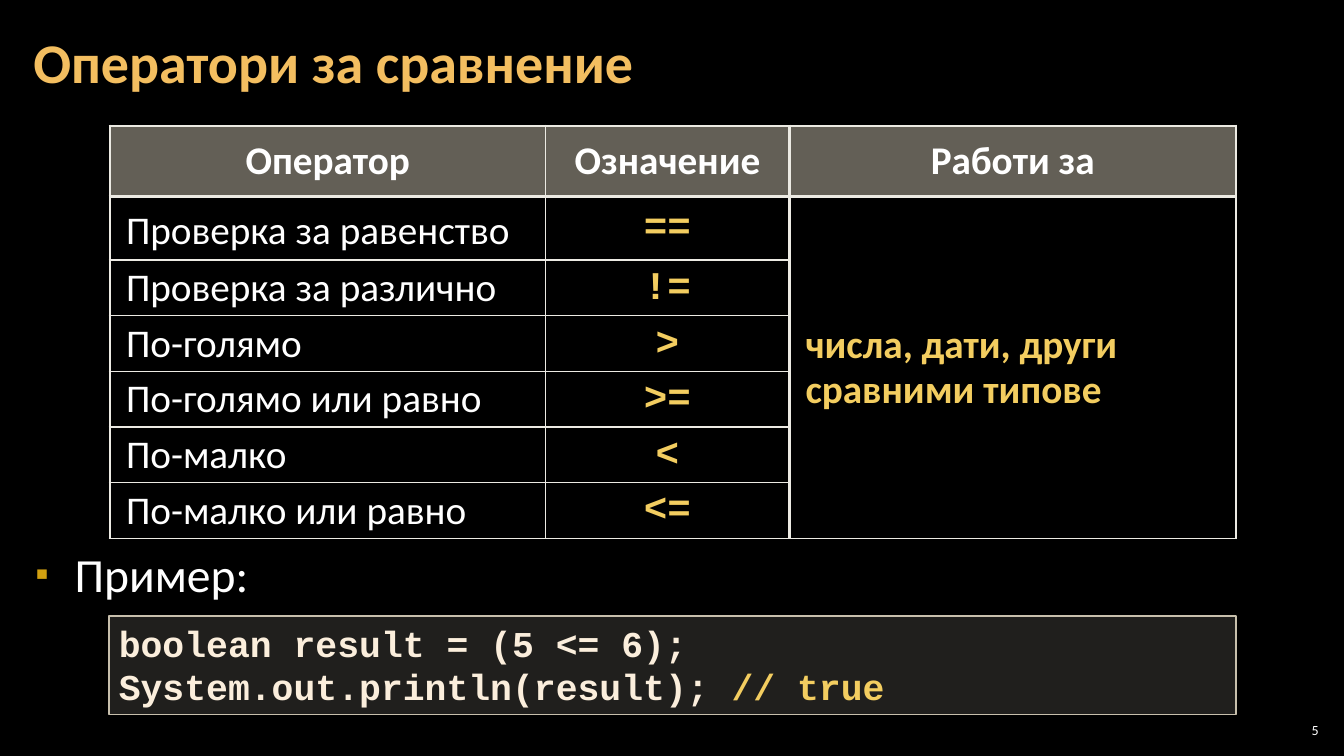
from dataclasses import dataclass

from lxml.etree import SubElement
from pptx import Presentation
from pptx.dml.color import RGBColor
from pptx.enum.shapes import MSO_SHAPE as Shape
from pptx.enum.text import MSO_ANCHOR as Anchor, MSO_AUTO_SIZE as AutoSize, PP_ALIGN as Align
from pptx.oxml.ns import qn
from pptx.util import Emu, Pt

PX = 9144  # EMU in one px, 100 px to the inch

BLACK = RGBColor(0x00, 0x00, 0x00)
WHITE = RGBColor(0xFF, 0xFF, 0xFF)
ORANGE = RGBColor(0xF3, 0xBE, 0x60)
YELLOW = RGBColor(0xF3, 0xCD, 0x60)
CREAM = RGBColor(0xFB, 0xEE, 0xDC)
SAND = RGBColor(0xC7, 0xBF, 0xAC)
STONE = RGBColor(0xD9, 0xD5, 0xC7)
GRID = RGBColor(0xEC, 0xEA, 0xE3)
BULLET = RGBColor(0xD2, 0xA0, 0x10)

SANS, MONO = "Calibri", "Courier New"
NO_STYLE = "{2D5ABB26-0587-4C30-8999-92F81FD0307C}"


@dataclass(frozen=True)
class Style:
    size: int
    color: RGBColor
    name: str = SANS
    bold: bool = False


@dataclass(frozen=True)
class Operator:
    title: str
    sign: str


TITLE = Style(40, ORANGE, bold=True)
HEADER = Style(28, WHITE, bold=True)
LABEL = Style(28, WHITE)
SIGN = Style(28, YELLOW, MONO, True)
TYPES = Style(28, YELLOW, bold=True)
EXAMPLE = Style(34, WHITE)
CODE = Style(26, CREAM, MONO, True)
COMMENT = Style(26, YELLOW, MONO, True)
NUMBER = Style(10, WHITE)

HEADINGS = ("Оператор", "Означение", "Работи за")
OPERATORS = (
    Operator("Проверка за равенство", "=="),
    Operator("Проверка за различно", "!="),
    Operator("По-голямо", ">"),
    Operator("По-голямо или равно", ">="),
    Operator("По-малко", "<"),
    Operator("По-малко или равно", "<="),
)
COLUMNS = (432, 242, 443)
ROWS = (70, 63, *[54] * 5)
COLUMN_EDGES = (2.25, 1, 2.25, 2.25)
ROW_EDGES = (2.25, 2.25, *[1] * 6)


def box(*lengths: int) -> list[Emu]:
    return [Emu(n * PX) for n in lengths]


def apply(target, values: dict) -> None:
    for key, value in values.items():
        setattr(target, key, value)


def add_run(p, text: str, style: Style) -> None:
    r = p.add_run()
    r.text = text
    apply(r.font, {"size": Pt(style.size), "name": style.name, "bold": style.bold})
    r.font.color.rgb = style.color


def set_frame(tf, anchor: Anchor, side: int, edge: int) -> None:
    apply(tf, {"word_wrap": True, "auto_size": AutoSize.NONE, "vertical_anchor": anchor,
               "margin_left": side * PX, "margin_right": side * PX,
               "margin_top": edge * PX, "margin_bottom": edge * PX})


def place(s, *lengths: int) -> None:
    apply(s, dict(zip(("left", "top", "width", "height"), box(*lengths))))


def set_fill(fill, element, color: RGBColor, percent: int) -> None:
    fill.solid()
    fill.fore_color.rgb = color
    clr = element.find(qn("a:solidFill")).find(qn("a:srgbClr"))
    SubElement(clr, qn("a:alpha"), val=str(percent * 1000))


def set_borders(cell, widths: dict[str, float]) -> None:
    tc_pr = cell._tc.get_or_add_tcPr()
    for side, width in widths.items():
        ln = SubElement(tc_pr, qn(f"a:ln{side}"), w=str(Pt(width)))
        SubElement(SubElement(ln, qn("a:solidFill")), qn("a:srgbClr"), val=str(GRID))


def fill_cell(cell, text: str, style: Style, align: Align) -> None:
    apply(cell, {"vertical_anchor": Anchor.MIDDLE,
                 "margin_left": 16 * PX, "margin_right": 16 * PX,
                 "margin_top": 5 * PX, "margin_bottom": 5 * PX})
    p = cell.text_frame.paragraphs[0]
    apply(p, {"alignment": align, "line_spacing": 0.95})
    add_run(p, text, style)


def add_operators(slide) -> None:
    frame = slide.shapes.add_table(len(ROWS), len(COLUMNS), *box(109, 125, sum(COLUMNS), sum(ROWS)))
    table = frame.table
    apply(table, {"first_row": False, "horz_banding": False})
    table._tbl.tblPr.find(qn("a:tableStyleId")).text = NO_STYLE
    for column, width in zip(table.columns, COLUMNS):
        column.width = Emu(width * PX)
    for row, height in zip(table.rows, ROWS):
        row.height = Emu(height * PX)
    table.cell(1, 2).merge(table.cell(len(ROWS) - 1, 2))

    # Cell borders and fills
    for i in range(len(ROWS)):
        for j in range(len(COLUMNS)):
            cell = table.cell(i, j)
            widths = {"L": COLUMN_EDGES[j], "R": COLUMN_EDGES[j + 1]}
            if not cell.is_spanned:
                widths |= {"T": ROW_EDGES[i], "B": ROW_EDGES[i + 1]}
            set_borders(cell, widths)
            if i == 0:
                set_fill(cell.fill, cell._tc.tcPr, SAND, 50)
            else:
                cell.fill.background()

    # Cell texts
    for j, heading in enumerate(HEADINGS):
        fill_cell(table.cell(0, j), heading, HEADER, Align.CENTER)
    for i, operator in enumerate(OPERATORS, 1):
        fill_cell(table.cell(i, 0), operator.title, LABEL, Align.LEFT)
        fill_cell(table.cell(i, 1), operator.sign, SIGN, Align.CENTER)
    table.cell(1, 0).text_frame.paragraphs[0].line_spacing = Pt(38)
    fill_cell(table.cell(1, 2), "числа, дати, други сравними типове", TYPES, Align.LEFT)


def add_title(slide) -> None:
    s = slide.shapes.title
    place(s, 21, 4, 1047, 121)
    set_frame(s.text_frame, Anchor.MIDDLE, 12, 4)
    p = s.text_frame.paragraphs[0]
    apply(p, {"alignment": Align.LEFT, "line_spacing": 0.9})
    add_run(p, "Оператори за сравнение", TITLE)


def add_example(slide) -> None:
    s = slide.placeholders[1]
    place(s, 25, 539, 950, 75)
    set_frame(s.text_frame, Anchor.TOP, 10, 5)
    p = s.text_frame.paragraphs[0]
    apply(p, {"alignment": Align.LEFT, "line_spacing": Pt(38),
              "space_before": Pt(6), "space_after": Pt(6)})
    add_run(p, "Пример:", EXAMPLE)
    p_pr = p._p.get_or_add_pPr()
    p_pr.set("marL", str(39 * PX))
    p_pr.set("indent", str(-39 * PX))
    SubElement(SubElement(p_pr, qn("a:buClr")), qn("a:srgbClr"), val=str(BULLET))
    SubElement(p_pr, qn("a:buSzPct"), val="80000")
    SubElement(p_pr, qn("a:buChar"), char="▪")


def add_code(slide) -> None:
    s = slide.shapes.add_shape(Shape.RECTANGLE, *box(108, 611, 1118, 98))
    s.shadow.inherit = False
    set_fill(s.fill, s._element.spPr, STONE, 15)
    s.line.color.rgb = SAND
    s.line.width = Pt(1)
    tf = s.text_frame
    set_frame(tf, Anchor.TOP, 10, 5)
    first, second = tf.paragraphs[0], tf.add_paragraph()
    first.alignment = second.alignment = Align.LEFT
    add_run(first, "boolean result = (5 <= 6);", CODE)
    add_run(second, "System.out.println(result); ", CODE)
    add_run(second, "// true", COMMENT)


def add_number(slide) -> None:
    s = slide.shapes.add_textbox(*box(1265, 714, 47, 21))
    set_frame(s.text_frame, Anchor.MIDDLE, 4, 4)
    p = s.text_frame.paragraphs[0]
    p.alignment = Align.RIGHT
    add_run(p, "5", NUMBER)


def main() -> None:
    prs = Presentation()
    prs.slide_width, prs.slide_height = box(1333, 750)
    slide = prs.slides.add_slide(prs.slide_layouts[1])
    slide.background.fill.solid()
    slide.background.fill.fore_color.rgb = BLACK
    for draw in (add_number, add_operators, add_title, add_code, add_example):
        draw(slide)
    prs.save("out.pptx")


if __name__ == "__main__":
    main()
